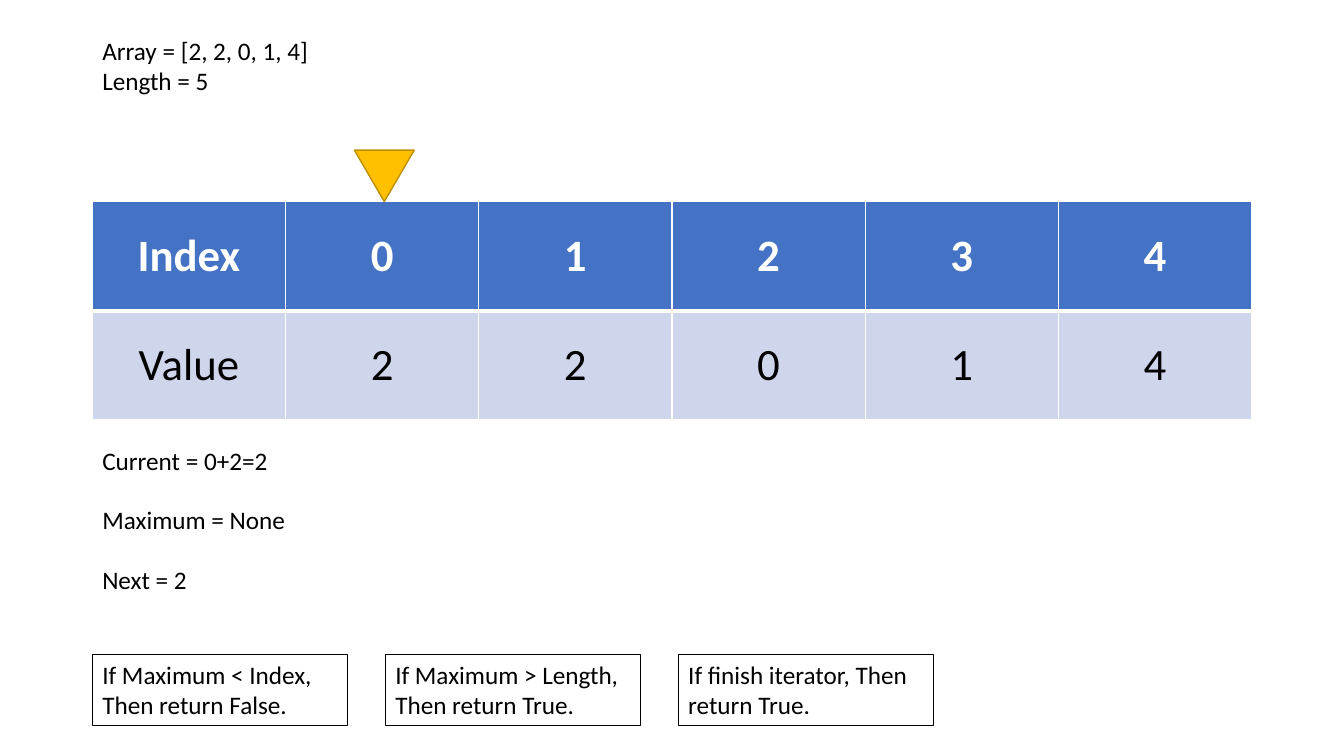
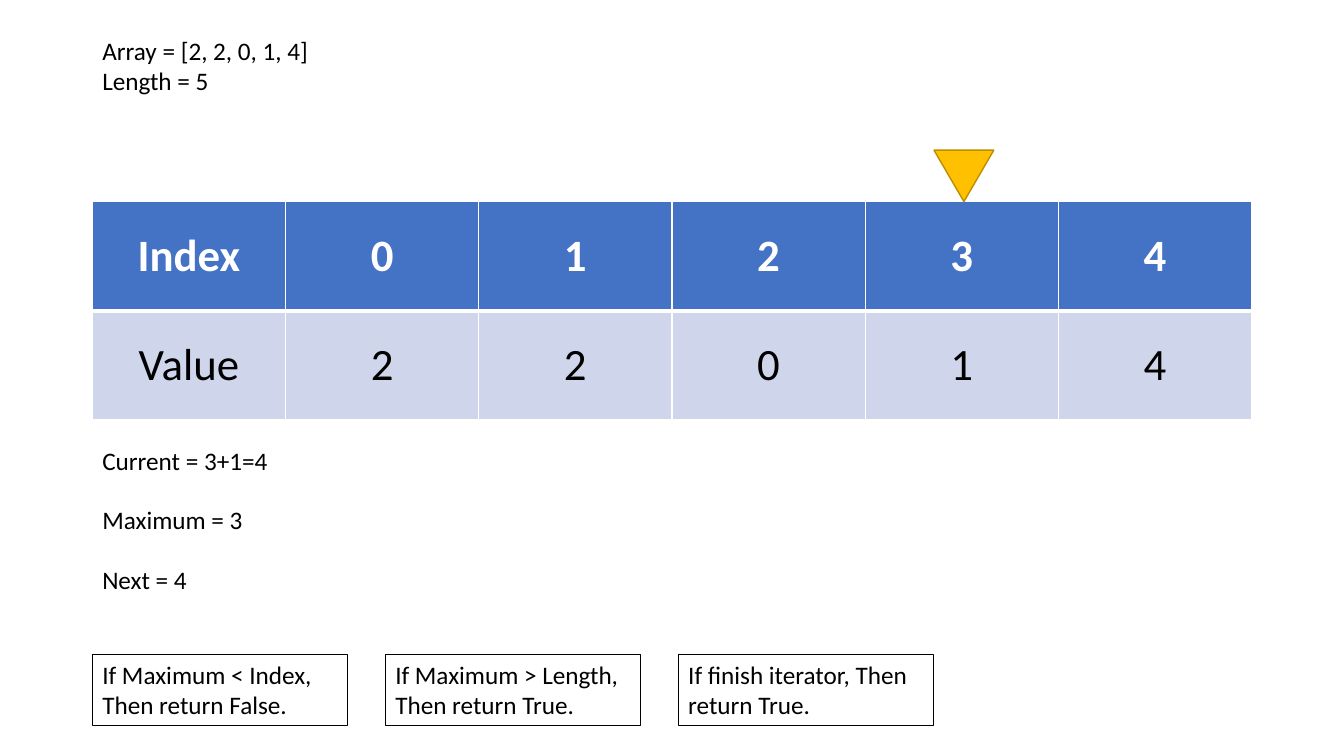
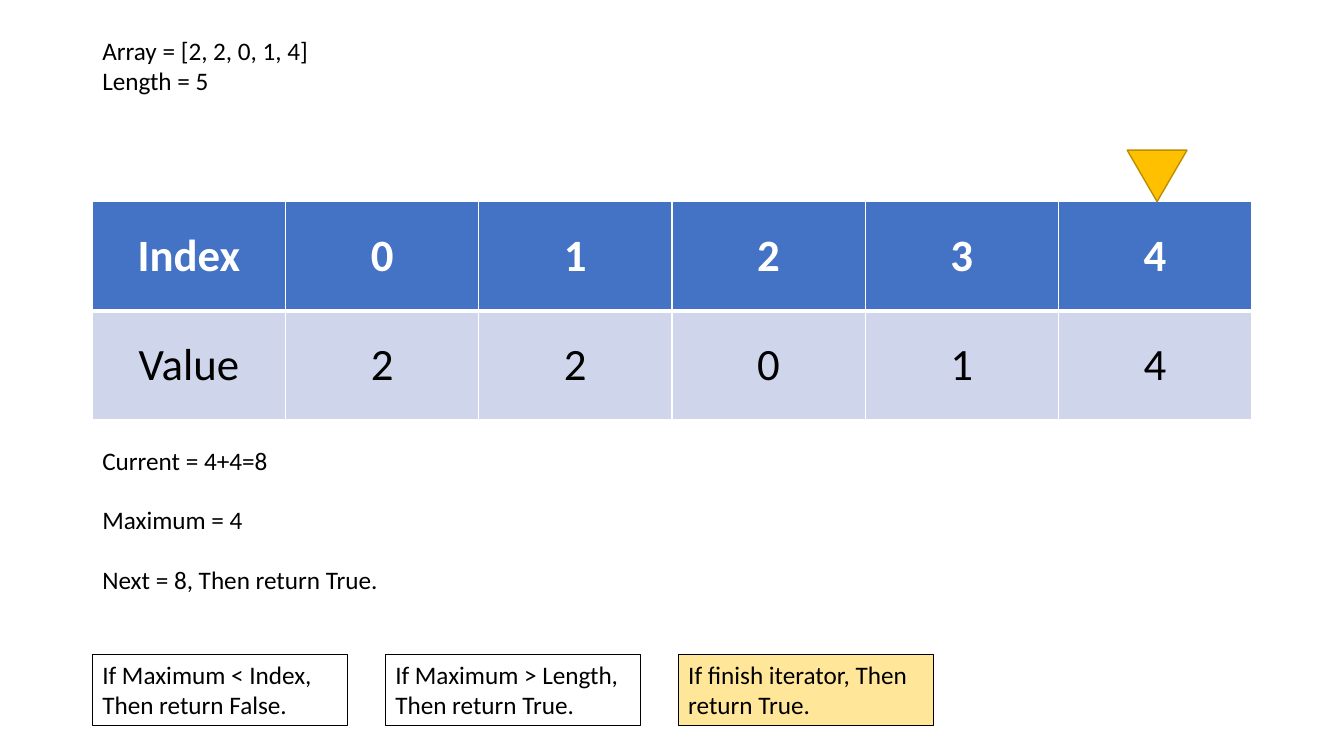
from lxml.etree import SubElement
from pptx import Presentation
from pptx.dml.color import RGBColor
from pptx.enum.shapes import MSO_SHAPE
from pptx.enum.text import MSO_ANCHOR, MSO_AUTO_SIZE, PP_ALIGN
from pptx.oxml.ns import qn
from pptx.util import Pt

PX = 9525
FONT = "Calibri"
COLORS = {
    "text": "000000",
    "white": "FFFFFF",
    "header": "4472C4",
    "value": "CFD5EA",
    "marker": "FFC000",
    "marker_line": "BD8E00",
    "active": "FFE699",
}
VALUES = [2, 2, 0, 1, 4]
RULES = [
    "If Maximum < Index, Then return False.",
    "If Maximum > Length, Then return True.",
    "If finish iterator, Then return True.",
]
# Each step: index pointed at, status lines with their widths, active rule
STEPS = [
    (0, [("Current = 0+2=2", 179), ("Maximum = None", 196), ("Next = 2", 101)], None),
    (3, [("Current = 3+1=4", 179), ("Maximum = 3", 155), ("Next = 4", 101)], None),
    (4, [("Current = 4+4=8", 179), ("Maximum = 4", 155),
         ("Next = 8, Then return True.", 285)], 2),
]
LEFT = 88
TABLE_BOX = (LEFT, 192, 1104, 208)


def color(name):
    return RGBColor.from_string(COLORS[name])


def scaled(*lengths):
    return [round(length * PX) for length in lengths]


def style_paragraphs(frame, size, color_name, bold=False, align=PP_ALIGN.LEFT):
    for para in frame.paragraphs:
        para.alignment = align
        for span in para.runs:
            span.font.name = FONT
            span.font.size = Pt(size)
            span.font.bold = bold
            span.font.color.rgb = color(color_name)


def add_text(page, box, text, wrap=True):
    shape = page.shapes.add_textbox(*scaled(*box))
    frame = shape.text_frame
    frame.text = text
    frame.word_wrap = wrap
    frame.auto_size = MSO_AUTO_SIZE.SHAPE_TO_FIT_TEXT
    style_paragraphs(frame, 18, "text")
    return shape


def set_borders(cell, widths):
    """Draw white borders, widths in points by side (L, R, T, B)."""
    properties = cell._tc.get_or_add_tcPr()
    for side, width in widths.items():
        line = SubElement(properties, qn(f"a:ln{side}"), w=str(Pt(width)))
        fill = SubElement(line, qn("a:solidFill"))
        SubElement(fill, qn("a:srgbClr"), val=COLORS["white"])


def add_array_table(page, box):
    rows = [["Index", *range(len(VALUES))], ["Value", *VALUES]]
    graphic = page.shapes.add_table(len(rows), len(rows[0]), *scaled(*box))
    for row_number, row in enumerate(rows):
        is_header = row_number == 0
        for column_number, content in enumerate(row):
            cell = graphic.table.cell(row_number, column_number)
            cell.text_frame.text = str(content)
            cell.vertical_anchor = MSO_ANCHOR.MIDDLE
            style_paragraphs(cell.text_frame, 32, "white" if is_header else "text",
                             is_header, PP_ALIGN.CENTER)
            set_borders(cell, {"L": 1, "R": 1, "T": 1 if is_header else 3,
                               "B": 3 if is_header else 1})
            cell.fill.solid()
            cell.fill.fore_color.rgb = color("header" if is_header else "value")


def add_marker(page, box, index):
    """Point a triangle at the column of an index in the table's box."""
    left, top, table_width, _ = box
    width, height, offset = 57, 49, 2
    column = table_width / (len(VALUES) + 1)
    center = left + column * (index + 1.5) + offset
    marker = page.shapes.add_shape(
        MSO_SHAPE.ISOSCELES_TRIANGLE,
        *scaled(center - width / 2, top - height, width, height))
    marker.rotation = 180
    marker.shadow.inherit = False
    marker.fill.solid()
    marker.fill.fore_color.rgb = color("marker")
    marker.line.color.rgb = color("marker_line")
    marker.line.width = Pt(1)


def add_status(page, left, top, lines):
    for number, (text, width) in enumerate(lines):
        add_text(page, (left, top + 57 * number, width, 38), text, wrap=False)


def add_rules(page, left, top, active):
    for number, text in enumerate(RULES):
        rule = add_text(page, (left + 279 * number, top, 243, 68), text)
        rule.line.color.rgb = color("text")
        rule.line.width = Pt(0.75)
        if number == active:
            rule.fill.solid()
            rule.fill.fore_color.rgb = color("active")


def add_step(deck, index, status, active):
    page = deck.slides.add_slide(deck.slide_layouts[6])
    add_array_table(page, TABLE_BOX)
    add_text(page, (LEFT, 29, 218, 68), f"Array = {VALUES}\nLength = {len(VALUES)}")
    add_marker(page, TABLE_BOX, index)
    add_status(page, LEFT, 419, status)
    add_rules(page, LEFT, 623, active)


def main():
    deck = Presentation()
    deck.slide_width, deck.slide_height = scaled(1280, 720)
    for step in STEPS:
        add_step(deck, *step)
    deck.save("out.pptx")


if __name__ == "__main__":
    main()
